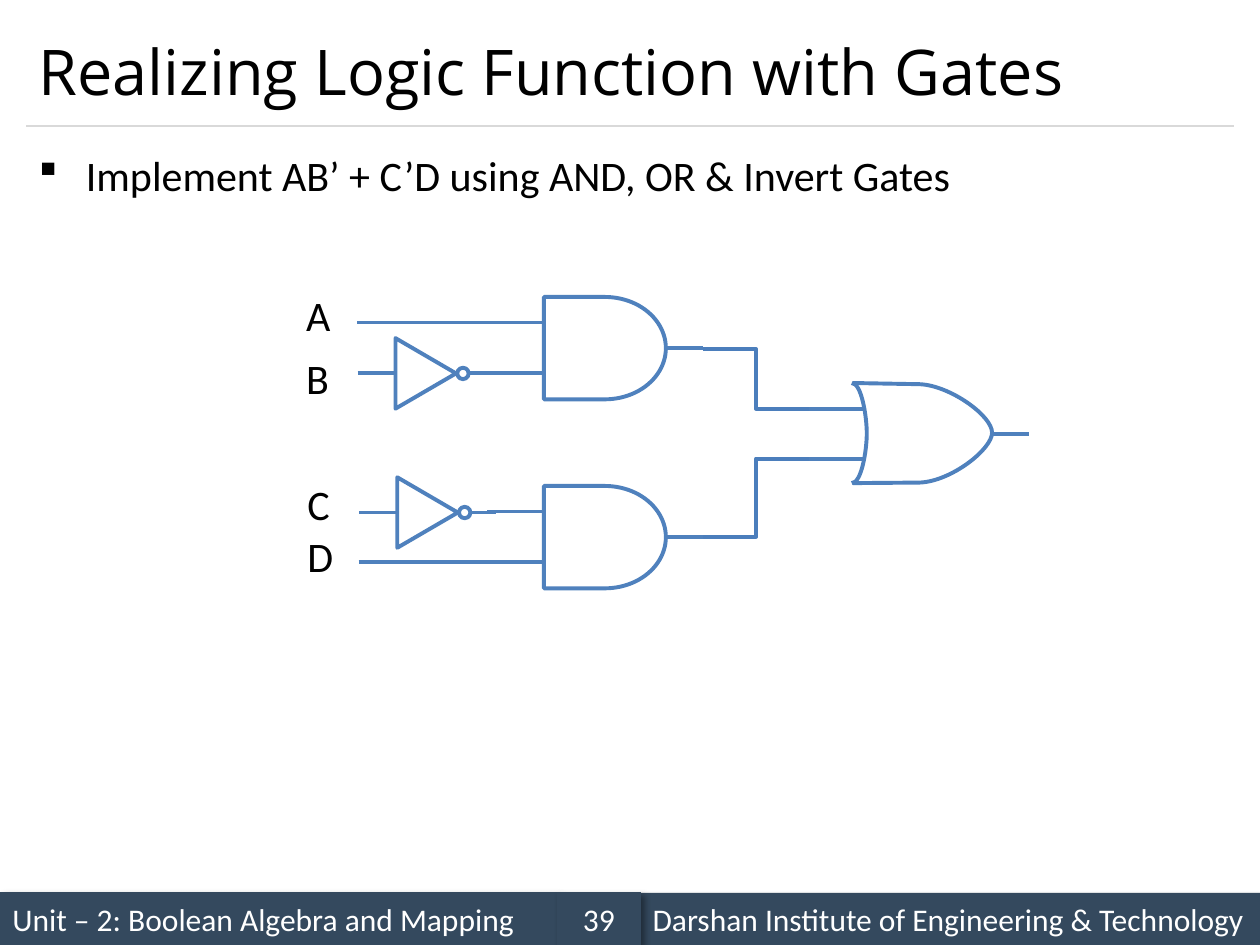
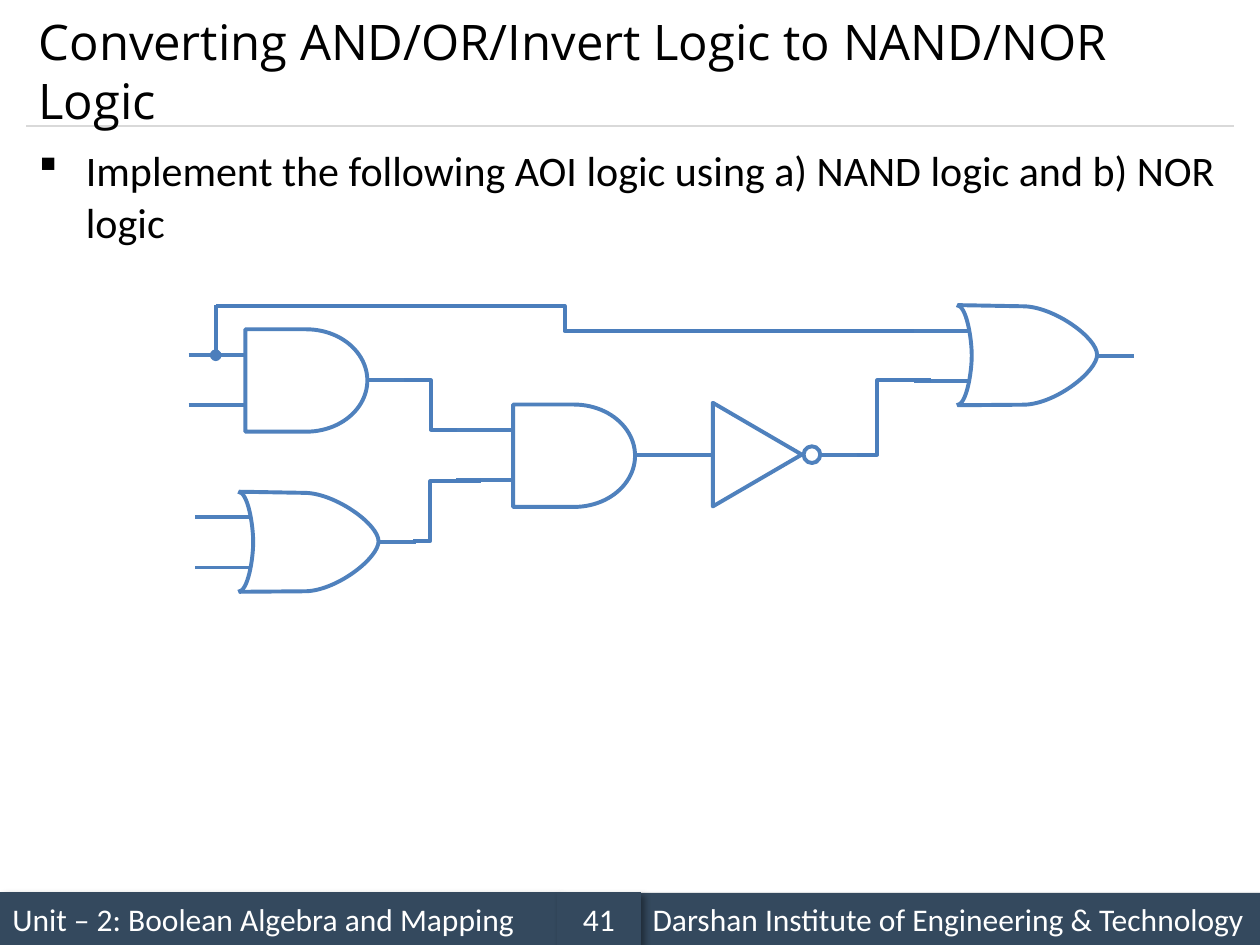
import pptx
import pptx.util
import pptx.dml.color
import pptx.enum.shapes
import pptx.enum.text
import pptx.oxml
import pptx.oxml.ns

Pt = pptx.util.Pt
SHAPE = pptx.enum.shapes.MSO_SHAPE
CONNECTOR = pptx.enum.shapes.MSO_CONNECTOR
ALIGN = pptx.enum.text.PP_ALIGN
ANCHOR = pptx.enum.text.MSO_ANCHOR

BLACK, WHITE, BAND, RULE = "000000", "FFFFFF", "34495E", "D9D9D9"
GATE, WIRE = "4F81BD", "4B7EBC"
LINE_WIDTH = 2.25
BODY_FONT, TITLE_FONT = "Calibri", "Open Sans"
UNIT = "Unit – 2: Boolean Algebra and Mapping"
INSTITUTE = "Darshan Institute of Engineering & Technology"

# Positions are points. Gates: and/or = (left, top, input lead lengths);
# inverter = (left, middle, scale). Wires: (from, to, position of the bend).
SLIDES = [
    {
        "title": "Realizing Logic Function with Gates", "title_size": 36,
        "body": "Implement AB’ + C’D using AND, OR & Invert Gates",
        "body_spacing": 1.14, "number": "39",
        "labels": [("A", 167.8, 162), ("B", 167.8, 198),
                   ("C", 168.5, 270), ("D", 168.5, 299.5)],
        "and": [(310.8, 169.7, (106.6, 32.4)), (310.8, 277.7, (32.4, 105.8))],
        "or": [(487.4, 218.9)],
        "inverter": [(226, 213.4, 1), (227, 292.9, 1)],
        "wires": [((401.8, 199.4), (462.2, 233.5), 0.5),
                  ((401.8, 306.7), (462.2, 262.1), 0.5)],
        "taps": [],
    },
    {
        "title": "Converting AND/OR/Invert Logic to NAND/NOR Logic", "title_size": 28,
        "body": "Implement the following AOI logic using a) NAND logic and b) NOR logic",
        "body_spacing": 1.04, "number": "41",
        "labels": [],
        "and": [(140.2, 188.2, (32.4, 32.4)), (293.2, 231.2, (32.4, 32.4))],
        "or": [(136.8, 281), (547.4, 174.4)],
        "inverter": [(407.3, 259.8, 1.47)],
        "wires": [((231.1, 217.4), (261.4, 245.5), 0.5),
                  ((236.2, 309.1), (275, 275), 0.25),
                  ((489.6, 259.8), (532.1, 217.4), 0.275),
                  ((123.3, 174.9), (522, 189.3), 0.5)],
        "taps": [((123.3, 203), (123.3, 174.2))],
    },
]

INPUT_DROPS = (14.6, 43.3)
OUTPUT_DROP = 28.9
# A start point, then segments: one point for a line, three for a curve.
OR_NOSE = ((0, 0), [[(38.2, 0.7)],
                    [(55.4, 1.4), (79.5, 18.7), (79.5, 28.4)],
                    [(79.5, 37.8), (56.2, 56.2), (38.2, 56.9)],
                    [(0, 57.2)]])
OR_BACK = ((-0.7, 57.2), [[(5, 57.2), (7.9, 38.2), (7.9, 28.8)],
                          [(7.9, 19.4), (5, 0), (-0.7, 0)]])


def rgb(color):
    return pptx.dml.color.RGBColor.from_string(color)


def xml(tag, attributes="", inner=""):
    ns = pptx.oxml.ns.nsdecls("a")
    return pptx.oxml.parse_xml(f"<a:{tag} {ns} {attributes}>{inner}</a:{tag}>")


def box(s, left, top, width, height):
    return s.shapes.add_textbox(Pt(left), Pt(top), Pt(width), Pt(height))


def write(sp, text, size, color=BLACK, font=BODY_FONT, anchor=ANCHOR.TOP,
          align=ALIGN.LEFT, wrap=True):
    """Fill a shape with one formatted paragraph and return the paragraph."""
    tf = sp.text_frame
    tf.text = text
    tf.word_wrap = wrap
    tf.vertical_anchor = anchor
    p = tf.paragraphs[0]
    p.alignment = align
    for r in p.runs:
        r.font.size = Pt(size)
        r.font.name = font
        r.font.color.rgb = rgb(color)
    return p


def connect(s, start, end, color=GATE, width=LINE_WIDTH, kind=CONNECTOR.STRAIGHT):
    c = s.shapes.add_connector(kind, *(Pt(v) for v in (*start, *end)))
    c.line.color.rgb = rgb(color)
    c.line.width = Pt(width)
    c._element.spPr.append(xml("effectLst"))
    return c


def elbow(s, start, end, bend):
    c = connect(s, start, end, WIRE, kind=CONNECTOR.ELBOW)
    guides = c._element.spPr.find(".//" + pptx.oxml.ns.qn("a:avLst"))
    guides.append(xml("gd", f'name="adj1" fmla="val {round(bend * 100000)}"'))


def tap(s, start, end):
    """Draw a wire that starts at a junction dot."""
    c = connect(s, start, end, WIRE)
    c.line._get_or_add_ln().append(xml("headEnd", 'type="oval"'))


def outline(sp):
    sp.shadow.inherit = False
    sp.fill.background()
    sp.line.color.rgb = rgb(GATE)
    sp.line.width = Pt(LINE_WIDTH)


def add_outline(s, kind, left, top, width, height):
    sp = s.shapes.add_shape(kind, Pt(left), Pt(top), Pt(width), Pt(height))
    outline(sp)
    return sp


def add_path(s, left, top, start, segments):
    """Draw an open outline; each three-point segment becomes a Bézier curve."""
    def place(pt):
        return Pt(left + pt[0]), Pt(top + pt[1])

    builder = s.shapes.build_freeform(*place(start))
    builder.add_line_segments([place(pt) for seg in segments for pt in seg], close=False)
    sp = builder.convert_to_shape()
    lines = iter(sp._element.findall(".//" + pptx.oxml.ns.qn("a:lnTo")))
    for seg in segments:
        parts = [next(lines) for _ in seg]
        if len(parts) == 3:
            curve = xml("cubicBezTo")
            parts[0].addprevious(curve)
            for part in parts:
                curve.append(part[0])
                part.getparent().remove(part)
    outline(sp)


def add_leads(s, left, top, starts, input_end, output):
    """Draw a gate's two input leads and its output lead."""
    for start, drop in zip(starts, INPUT_DROPS):
        connect(s, (left + start, top + drop), (left + input_end, top + drop))
    connect(s, *((left + x, top + OUTPUT_DROP) for x in output))


def and_gate(s, left, top, leads):
    add_leads(s, left, top, [-lead for lead in leads], 0, (70.2, 90.7))
    add_outline(s, SHAPE.FLOWCHART_DELAY, left, top, 69.7, 58.5)


def or_gate(s, left, top):
    add_leads(s, left, top, (-25.2, -25.2), 7.2, (79.9, 100.8))
    for outline_parts in (OR_NOSE, OR_BACK):
        add_path(s, left, top, *outline_parts)


def inverter(s, left, middle, scale):
    for start, end in ((-21.6, 0.4), (41.8, 56.2)):
        connect(s, (left + start * scale, middle), (left + end * scale, middle))
    bubble = 6.5 * scale
    add_outline(s, SHAPE.OVAL, left + 35.3 * scale, middle - bubble / 2, bubble, bubble)
    base, depth = 40.3 * scale, 34.6 * scale
    triangle = add_outline(s, SHAPE.ISOSCELES_TRIANGLE, left + (depth - base) / 2,
                           middle - depth / 2, base, depth)
    triangle.rotation = 90


def band(s, left, top, width, text, align=ALIGN.LEFT):
    sp = s.shapes.add_shape(SHAPE.RECTANGLE, Pt(left), Pt(top), Pt(width), Pt(30.2))
    sp.fill.solid()
    sp.fill.fore_color.rgb = rgb(BAND)
    sp.line.fill.background()
    sp.shadow.inherit = False
    color = f'<a:srgbClr val="{BLACK}"><a:alpha val="40000"/></a:srgbClr>'
    shadow = f'blurRad="{Pt(4)}" dist="{Pt(3)}" dir="2700000" algn="tl" rotWithShape="0"'
    effects = sp._element.spPr.find(pptx.oxml.ns.qn("a:effectLst"))
    effects.append(xml("outerShdw", shadow, color))
    write(sp, text, 18, WHITE, anchor=ANCHOR.MIDDLE, align=align)


def add_frame(s, content):
    """Add the footer bands, title rule, title and bullet."""
    band(s, 0, 509.8, 318.2, UNIT)
    connect(s, (15, 72), (705, 72), RULE, 0.75)
    band(s, 365.8, 510.2, 354.2, INSTITUTE)
    band(s, 318.2, 509.8, 48, content["number"], ALIGN.CENTER)
    write(box(s, 15, 8.6, 690, 63.4), content["title"], content["title_size"],
          font=TITLE_FONT, anchor=ANCHOR.MIDDLE)
    body = write(box(s, 15, 77.8, 690, 64), content["body"], 24)
    pPr = body._p.get_or_add_pPr()
    pPr.set("marL", str(Pt(27)))
    pPr.set("indent", str(Pt(-27)))
    pPr.append(xml("buFont", 'typeface="Wingdings" pitchFamily="2" charset="2"'))
    pPr.append(xml("buChar", 'char="§"'))
    body.line_spacing = content["body_spacing"]


def add_circuit(s, content):
    for name, draw in (("and", and_gate), ("inverter", inverter), ("or", or_gate),
                       ("wires", elbow), ("taps", tap)):
        for item in content[name]:
            draw(s, *item)
    for text, left, top in content["labels"]:
        write(box(s, left, top, 29, 36), text, 24, wrap=False)


def main():
    prs = pptx.Presentation()
    prs.slide_width, prs.slide_height = Pt(720), Pt(540)
    for content in SLIDES:
        s = prs.slides.add_slide(prs.slide_layouts[6])
        add_frame(s, content)
        add_circuit(s, content)
    prs.save("out.pptx")


if __name__ == "__main__":
    main()
